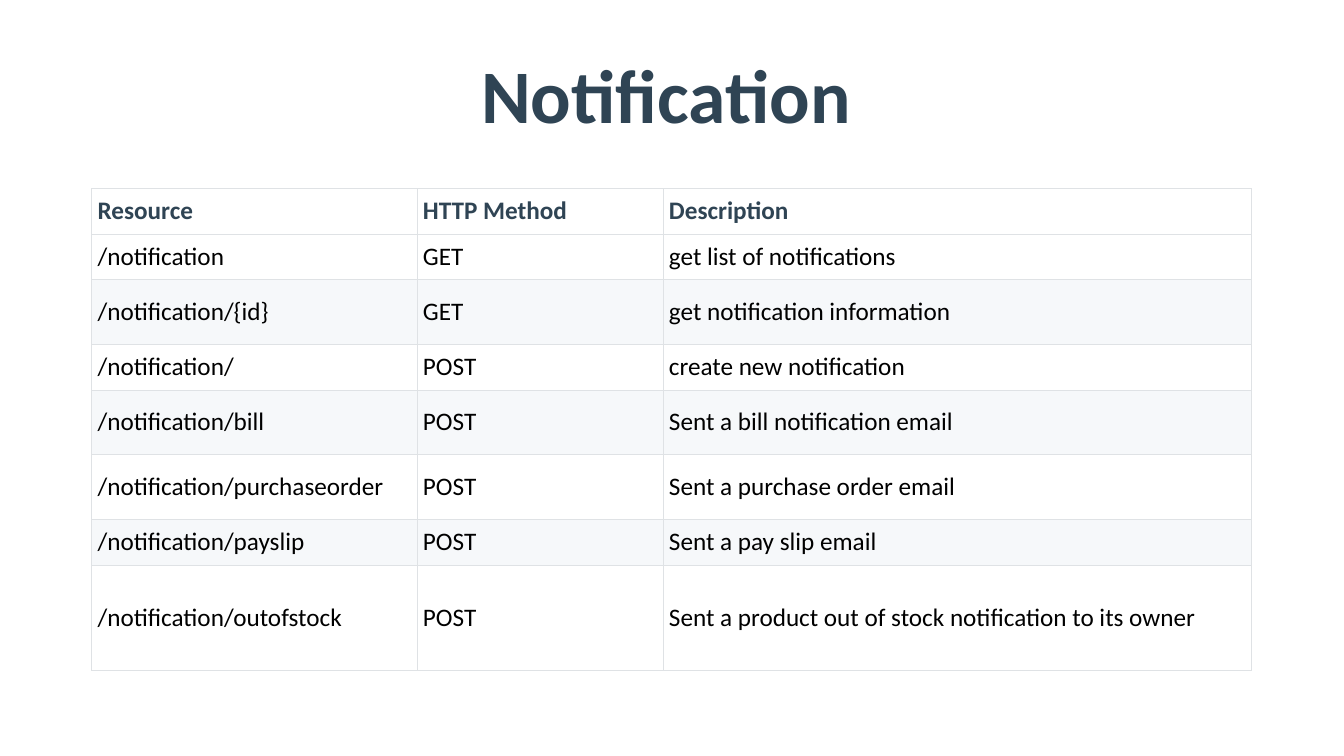
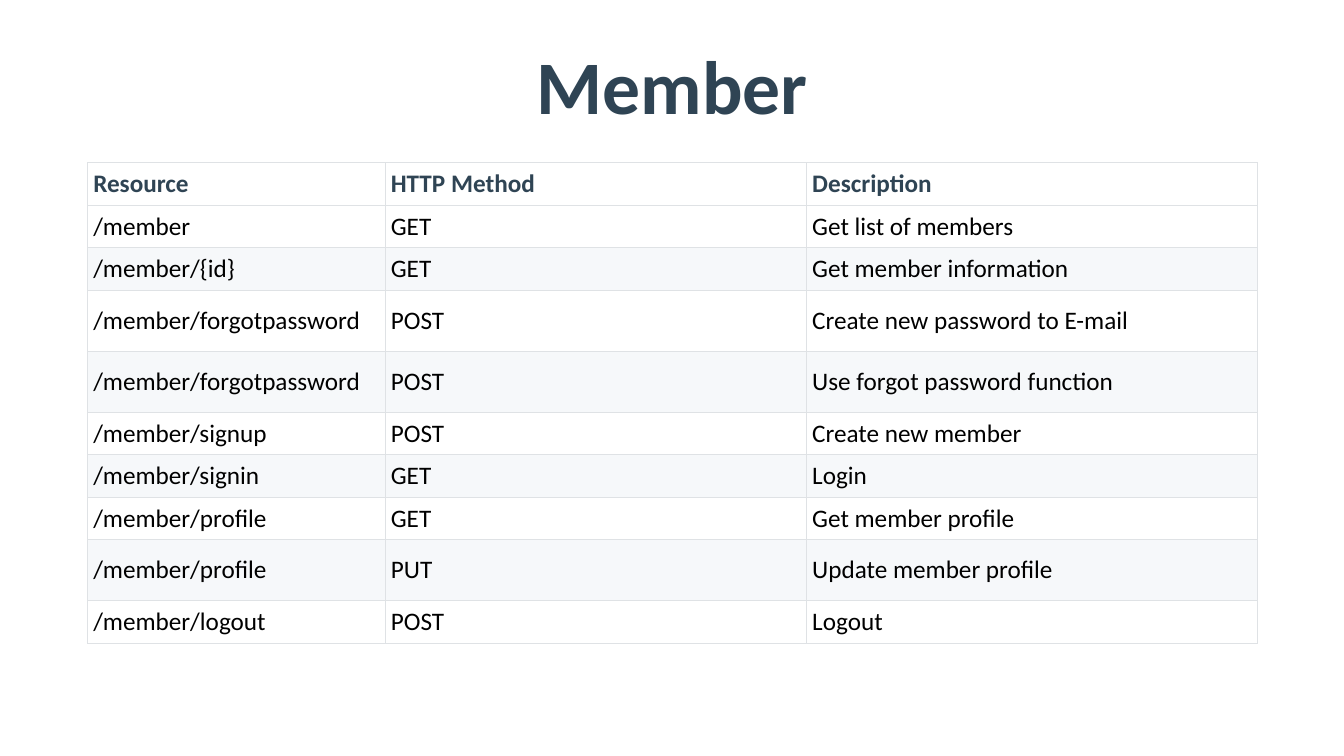
"""Build two slides that list the REST resources of a service."""
from dataclasses import dataclass

from lxml import etree
from pptx import Presentation
from pptx.dml.color import RGBColor
from pptx.enum.text import MSO_ANCHOR, PP_ALIGN
from pptx.oxml.ns import qn
from pptx.util import Cm, Pt

MIDDLE = MSO_ANCHOR.MIDDLE
CENTER = PP_ALIGN.CENTER


@dataclass(frozen=True)
class Theme:
    font: str = "Calibri"
    title: int = 54
    body: int = 18
    head: str = "2F4454"
    ink: str = "000000"
    plain: str = "FFFFFF"
    band: str = "F6F8FA"
    rule: str = "DFE2E5"
    line: float = 0.75


THEME = Theme()
SIZE = (33.87, 19.05)
TITLE_SIZE = (29.21, 3.68)
HEADS = ("Resource", "HTTP Method", "Description")

SLIDES = [
    {
        "title": "Notification",
        "title_at": (2.18, 0.66),
        "table_at": (2.31, 4.75),
        "cols": (8.2, 6.2, 14.83),
        "heights": {"low": 1.15, "mid": 1.63, "high": 2.65},
        "inset": (0.15, 0.08),
        "rows": [
            ("low", "/notification", "GET", "get list of notifications"),
            ("mid", "/notification/{id}", "GET", "get notification information"),
            ("low", "/notification/", "POST", "create new notification"),
            ("mid", "/notification/bill", "POST", "Sent a bill notification email"),
            ("mid", "/notification/purchaseorder", "POST", "Sent a purchase order email"),
            ("low", "/notification/payslip", "POST", "Sent a pay slip email"),
            ("high", "/notification/outofstock", "POST",
             "Sent a product out of stock notification to its owner"),
        ],
    },
    {
        "title": "Member",
        "title_at": (2.34, 0.43),
        "table_at": (2.21, 4.1),
        "cols": (7.5, 10.62, 11.35),
        "heights": {"low": 1.07, "mid": 1.54},
        "inset": (0.14, 0.06),
        "rows": [
            ("low", "/member", "GET", "Get list of members"),
            ("low", "/member/{id}", "GET", "Get member information"),
            ("mid", "/member/forgotpassword", "POST", "Create new password to E-mail"),
            ("mid", "/member/forgotpassword", "POST", "Use forgot password function"),
            ("low", "/member/signup", "POST", "Create new member"),
            ("low", "/member/signin", "GET", "Login"),
            ("low", "/member/profile", "GET", "Get member profile"),
            ("mid", "/member/profile", "PUT", "Update member profile"),
            ("low", "/member/logout", "POST", "Logout"),
        ],
    },
]


def style(para, size, color, bold):
    font = para.font
    font.name = THEME.font
    font.size = Pt(size)
    font.bold = bold
    font.color.rgb = RGBColor.from_string(color)


def add_title(slide, text, spot):
    box = slide.shapes.add_textbox(*map(Cm, spot + TITLE_SIZE))
    frame = box.text_frame
    frame.word_wrap = True
    frame.vertical_anchor = MIDDLE
    para = frame.paragraphs[0]
    para.text = text
    para.alignment = CENTER
    para.line_spacing = 0.9
    style(para, THEME.title, THEME.head, True)


def add_border(cell):
    props = cell._tc.get_or_add_tcPr()
    for side in ("a:lnL", "a:lnR", "a:lnT", "a:lnB"):
        line = etree.SubElement(props, qn(side), w=str(Pt(THEME.line)))
        fill = etree.SubElement(line, qn("a:solidFill"))
        etree.SubElement(fill, qn("a:srgbClr"), val=THEME.rule)


def fill_cell(cell, text, inset, row):
    add_border(cell)
    banded = row > 0 and row % 2 == 0
    cell.fill.solid()
    cell.fill.fore_color.rgb = RGBColor.from_string(THEME.band if banded else THEME.plain)
    cell.margin_left = cell.margin_right = Cm(inset[0])
    cell.margin_top = cell.margin_bottom = Cm(inset[1])
    cell.vertical_anchor = MIDDLE
    para = cell.text_frame.paragraphs[0]
    para.text = text
    style(para, THEME.body, THEME.ink if row else THEME.head, row == 0)


def add_grid(slide, data):
    rows = [("low", *HEADS)] + data["rows"]
    tall = [data["heights"][kind] for kind, *_ in rows]
    size = (sum(data["cols"]), sum(tall))
    frame = slide.shapes.add_table(len(rows), len(HEADS), *map(Cm, data["table_at"] + size))
    table = frame.table
    for col, width in zip(table.columns, data["cols"]):
        col.width = Cm(width)
    for r, (_, *texts) in enumerate(rows):
        table.rows[r].height = Cm(tall[r])
        for c, text in enumerate(texts):
            fill_cell(table.cell(r, c), text, data["inset"], r)


def main():
    deck = Presentation()
    deck.slide_width, deck.slide_height = map(Cm, SIZE)
    blank = deck.slide_layouts[6]
    for data in SLIDES:
        slide = deck.slides.add_slide(blank)
        add_title(slide, data["title"], data["title_at"])
        add_grid(slide, data)
    deck.save("out.pptx")


if __name__ == "__main__":
    main()
